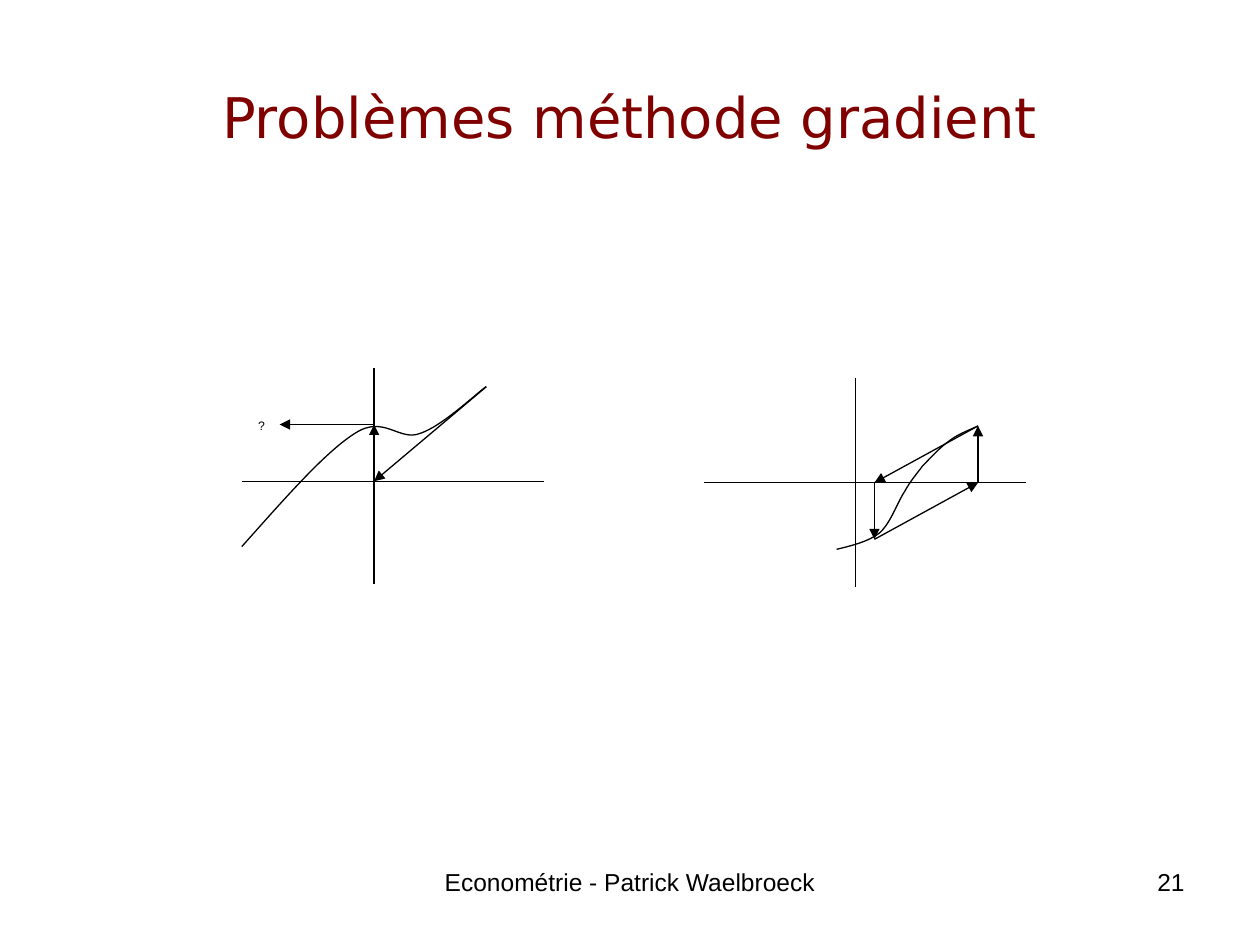
from lxml.etree import SubElement as Sub
from pptx import Presentation
from pptx.dml.color import RGBColor
from pptx.enum.shapes import MSO_CONNECTOR as Link, MSO_SHAPE as Shape
from pptx.enum.text import MSO_ANCHOR as Anchor, PP_ALIGN as Align
from pptx.oxml.ns import qn
from pptx.util import Pt

INK, RED, WHITE = "000000", "800000", "FFFFFF"


def paint(fmt, color):
    fmt.solid()
    fmt.fore_color.rgb = RGBColor.from_string(color)


def write(shape, text, size, align, font="Arial", color=INK,
          anchor=Anchor.TOP, pad=(7.2, 3.6)):
    frame = shape.text_frame
    frame.text = text
    frame.word_wrap = True
    frame.vertical_anchor = anchor
    frame.margin_left = frame.margin_right = Pt(pad[0])
    frame.margin_top = frame.margin_bottom = Pt(pad[1])
    para = frame.paragraphs[0]
    para.alignment = align
    run = para.runs[0].font
    run.name, run.size = font, Pt(size)
    paint(run.fill, color)


def line(shapes, start, end, arrow=False):
    link = shapes.add_connector(Link.STRAIGHT, *map(Pt, start + end))
    paint(link.line.fill, INK)
    link.line.width = Pt(0.75)
    if arrow:
        Sub(link.line._get_or_add_ln(), qn("a:tailEnd"), type="triangle")
    Sub(link._element.spPr, qn("a:effectLst"))


def curve(shapes, points):
    """Draw a Bezier curve: a start, then two handles and an end per piece."""
    spots = [(Pt(x), Pt(y)) for x, y in points]
    pen = shapes.build_freeform(*spots[0])
    pen.add_line_segments(spots[1:], close=False)
    shape = pen.convert_to_shape()
    shape.shadow.inherit = False
    shape.fill.background()
    paint(shape.line.fill, INK)
    shape.line.width = Pt(0.75)
    # Turn each three straight segments into one cubic piece
    route = shape._element.find(".//" + qn("a:path"))
    steps = route.findall(qn("a:lnTo"))
    for i in range(0, len(steps), 3):
        cubic = Sub(route, qn("a:cubicBezTo"))
        for step in steps[i:i + 3]:
            cubic.append(step[0])
            route.remove(step)


def graph(slide, box, origin, bends, trail, mark=None):
    """Draw axes, a curve and an arrow trail; points are relative to box."""
    left, top, width, height = box
    shapes = slide.shapes.add_group_shape().shapes

    def at(point):
        return left + point[0], top + point[1]

    # Axes
    line(shapes, at((origin[0], 0)), at((origin[0], height)))
    line(shapes, at((0, origin[1])), at((width, origin[1])))
    # Function and steps of the method
    curve(shapes, [at(p) for p in bends])
    for start, end in zip(trail, trail[1:]):
        line(shapes, at(start), at(end), arrow=True)
    # Question mark where the method fails
    if mark:
        tag = shapes.add_shape(Shape.RECTANGLE, *map(Pt, at(mark) + (16, 16)))
        tag.shadow.inherit = False
        paint(tag.fill, WHITE)
        tag.line.fill.background()
        write(tag, "?", 7, Align.LEFT, pad=(4.3, 2.2))


def heading(slide, box, text):
    title = slide.shapes.title
    title.left, title.top, title.width, title.height = map(Pt, box)
    write(title, text, 32, Align.CENTER, "DejaVu Sans", RED, Anchor.MIDDLE)


def footer(slide, box, text, number):
    left, top, width, height = box
    parts = ((left, 228, text, Align.CENTER),
             (left + width - 168, 168, number, Align.RIGHT))
    for x, wide, words, align in parts:
        note = slide.shapes.add_textbox(*map(Pt, (x, top, wide, height)))
        write(note, words, 14, align)


def main():
    deck = Presentation()
    deck.slide_width, deck.slide_height = Pt(720), Pt(540)
    slide = deck.slides.add_slide(deck.slide_layouts[5])
    heading(slide, (36, 21.6, 648, 90), "Problèmes méthode gradient")

    # Left: the method stops at a flat point
    root, start = (75.6, 64.8), (139.7, 10.8)
    graph(slide, (138.2, 210.2, 172.4, 123.8), root,
          [(0, 102.2), (23.8, 75.6), (47.5, 48.2), (64.8, 37.4),
           (81.4, 26.6), (90, 42.5), (102.2, 37.4),
           (115.2, 33.1), (136.8, 12.2), start],
          [start, root, (75.6, 32.4), (21.6, 32.4)], mark=(5, 26.6))

    # Right: the method runs in a loop
    near, far, low, mid, high = 97.2, 156.4, 92.2, 59.8, 27.4
    graph(slide, (402.5, 216, 183.6, 119.5), (86.4, mid),
          [(75.6, 97.9), (84.2, 95.8), (93.6, 93.6), (100.1, 88.6),
           (106.6, 82.8), (110.2, 71.3), (114.5, 64.8),
           (118.1, 58.3), (121, 55.4), (124.6, 50.4),
           (128.9, 46.1), (133.9, 40.3), (139, 36.7),
           (144, 32.4), (150.5, 30.2), (far, high)],
          [(far, high), (near, mid), (near, low), (far, mid), (far, high)])

    footer(slide, (246, 492, 438, 37.4),
           "Econométrie - Patrick Waelbroeck", "21")
    deck.save("out.pptx")


if __name__ == "__main__":
    main()
